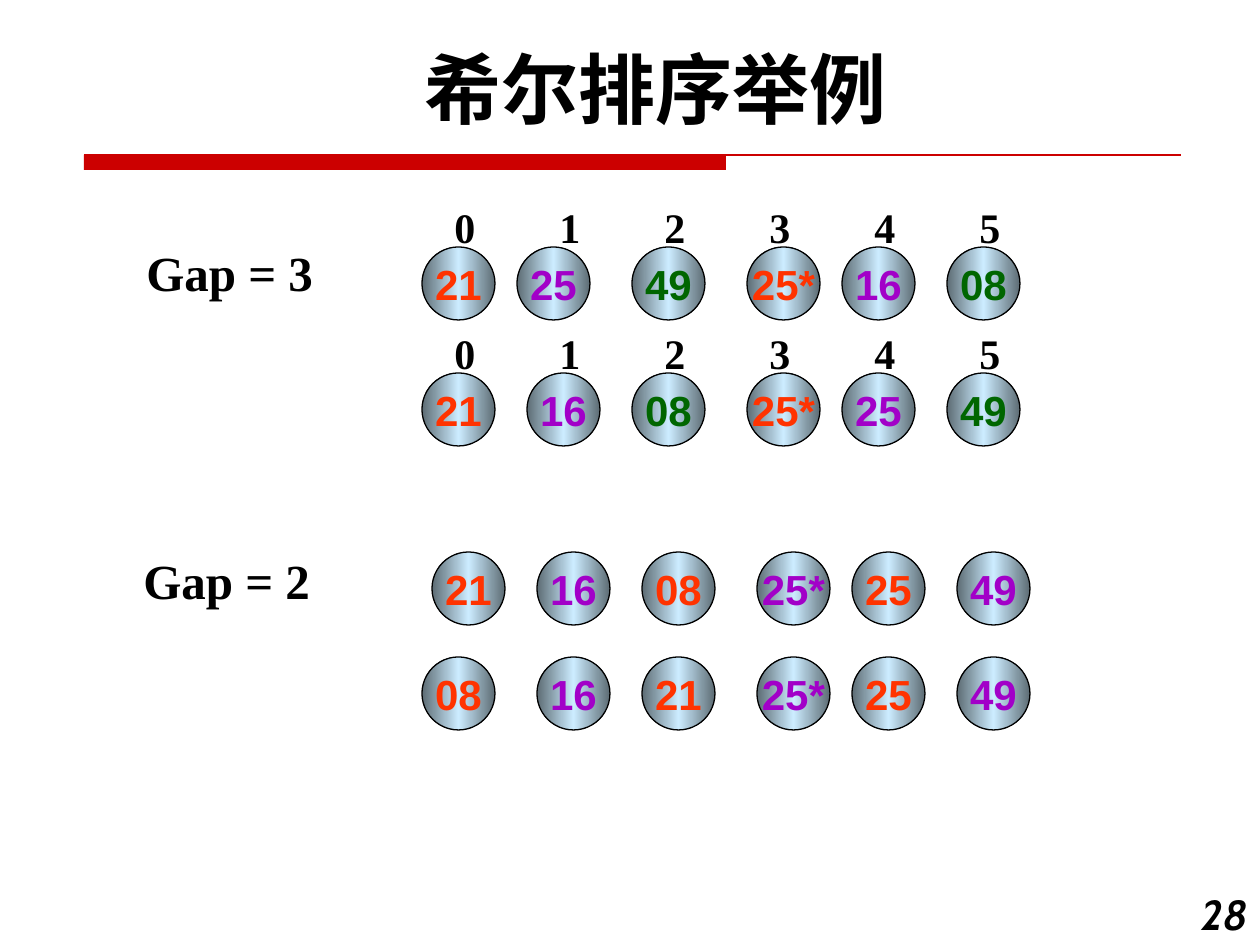
import copy
import dataclasses
import typing

import pptx
import pptx.dml.color
import pptx.enum.shapes
import pptx.enum.text
import pptx.oxml
import pptx.oxml.ns
import pptx.util

Align = pptx.enum.text.PP_ALIGN
Anchor = pptx.enum.text.MSO_ANCHOR
Shape = pptx.enum.shapes.MSO_SHAPE
EMU_PER_PX = 914400 / 126
COLUMN_STEP = 105
BALL_SIZE = 73


@dataclasses.dataclass(frozen=True)
class Theme:
    black: str = "000000"
    white: str = "FFFFFF"
    red: str = "CC0000"
    ball_edge: str = "5D6C74"
    ball_middle: str = "CCECFF"
    sublists: tuple[str, ...] = ("FF3300", "A200C8", "006600")
    title_size: int = 44
    gap_size: int = 28
    text_size: int = 24
    line_width: float = 0.75
    heading_font: str = "Cabin"
    label_font: str = "Times New Roman"
    ball_font: str = "Arial"


@dataclasses.dataclass(frozen=True)
class BallRow:
    gap: int
    left: int
    top: int
    keys: tuple[str, ...]
    nudges: tuple[int, ...]
    indexed: bool = False


@dataclasses.dataclass(frozen=True)
class GapLabel:
    text: str
    left: int
    top: int


THEME = Theme()

ROWS = (
    BallRow(3, 422, 247, ("21", "25", "49", "25*", "16", "08"), (0, -10, 0, 10, 0, 0), True),
    BallRow(3, 422, 373, ("21", "16", "08", "25*", "25", "49"), (0, 0, 0, 10, 0, 0), True),
    BallRow(2, 432, 552, ("21", "16", "08", "25*", "25", "49"), (0, 0, 0, 10, 0, 0)),
    BallRow(2, 432, 657, ("08", "16", "21", "25*", "25", "49"), (-10, 0, 0, 10, 0, 0)),
)

GAP_LABELS = (GapLabel("Gap = 3", 134, 236), GapLabel("Gap = 2", 131, 544))


def px(length: int) -> pptx.util.Emu:
    return pptx.util.Emu(round(length * EMU_PER_PX))


def box(left: int, top: int, width: int, height: int) -> tuple[pptx.util.Emu, ...]:
    return px(left), px(top), px(width), px(height)


def rgb(color: str) -> pptx.dml.color.RGBColor:
    return pptx.dml.color.RGBColor.from_string(color)


def write_text(
    frame: typing.Any,
    text: str,
    *,
    font: str,
    size: int,
    color: str = THEME.black,
    italic: bool = False,
    alignment: typing.Any = Align.LEFT,
    anchor: typing.Any = Anchor.TOP,
    wrap: bool = True,
    tab_stops: tuple[int, ...] = (),
) -> None:
    frame.word_wrap = wrap
    frame.vertical_anchor = anchor
    paragraph = frame.paragraphs[0]
    paragraph.alignment = alignment
    if tab_stops:
        properties = paragraph._p.get_or_add_pPr()
        tab_list = pptx.oxml.parse_xml(f"<a:tabLst {pptx.oxml.ns.nsdecls('a')}/>")
        properties.append(tab_list)
        for stop in tab_stops:
            tab = pptx.oxml.parse_xml(
                f'<a:tab {pptx.oxml.ns.nsdecls("a")} pos="{px(stop)}" algn="l"/>'
            )
            tab_list.append(tab)
    run = paragraph.add_run()
    run.text = text
    run.font.name = font
    run.font.size = pptx.util.Pt(size)
    run.font.bold = True
    run.font.italic = italic
    run.font.color.rgb = rgb(color)


def fill_ball(shape: typing.Any) -> None:
    shape.fill.gradient()
    shape.fill.gradient_angle = 0
    stop_list = shape._element.spPr.find(".//" + pptx.oxml.ns.qn("a:gsLst"))
    stop_list.insert(1, copy.deepcopy(stop_list[0]))
    colors = (THEME.ball_edge, THEME.ball_middle, THEME.ball_edge)
    for index, (stop, color) in enumerate(zip(shape.fill.gradient_stops, colors)):
        stop.position = index / 2
        stop.color.rgb = rgb(color)


def draw_ball(slide: typing.Any, key: str, left: int, top: int, color: str) -> None:
    shape = slide.shapes.add_shape(Shape.OVAL, *box(left, top, BALL_SIZE, BALL_SIZE))
    shape.shadow.inherit = False
    fill_ball(shape)
    shape.line.color.rgb = rgb(THEME.black)
    shape.line.width = pptx.util.Pt(THEME.line_width)
    write_text(shape.text_frame, key, font=THEME.ball_font, size=THEME.text_size, color=color,
               alignment=Align.CENTER, anchor=Anchor.MIDDLE, wrap=False)


def draw_row(slide: typing.Any, row: BallRow) -> None:
    if row.indexed:
        count = len(row.keys)
        indices = slide.shapes.add_textbox(*box(442, row.top - 52, 580, 63))
        write_text(indices.text_frame, "\t".join(str(index) for index in range(count)),
                   font=THEME.label_font, size=THEME.text_size,
                   tab_stops=tuple(COLUMN_STEP * index for index in range(1, count)))
    for index, (key, nudge) in enumerate(zip(row.keys, row.nudges)):
        left = row.left + COLUMN_STEP * index + nudge
        draw_ball(slide, key, left, row.top, THEME.sublists[index % row.gap])


def draw_rule(slide: typing.Any) -> None:
    bar = slide.shapes.add_shape(Shape.RECTANGLE, *box(84, 155, 642, 15))
    bar.shadow.inherit = False
    bar.fill.solid()
    bar.fill.fore_color.rgb = rgb(THEME.red)
    bar.line.fill.background()
    line = slide.shapes.add_connector(
        pptx.enum.shapes.MSO_CONNECTOR.STRAIGHT, px(84), px(155), px(1181), px(155)
    )
    line.line.color.rgb = rgb(THEME.red)
    line.line.width = pptx.util.Pt(THEME.line_width)
    line._element.spPr.append(
        pptx.oxml.parse_xml(f"<a:effectLst {pptx.oxml.ns.nsdecls('a')}/>")
    )


def main() -> None:
    presentation = pptx.Presentation()
    presentation.slide_width, presentation.slide_height = px(1260), px(945)
    slide = presentation.slides.add_slide(presentation.slide_layouts[5])
    slide.background.fill.solid()
    slide.background.fill.fore_color.rgb = rgb(THEME.white)

    title = slide.shapes.title
    title.left, title.top, title.width, title.height = box(73, 35, 1166, 106)
    title.text_frame.auto_size = pptx.enum.text.MSO_AUTO_SIZE.NONE
    write_text(title.text_frame, "希尔排序举例", font=THEME.heading_font, size=THEME.title_size,
               alignment=Align.CENTER, anchor=Anchor.MIDDLE)

    draw_rule(slide)
    for label in GAP_LABELS:
        label_box = slide.shapes.add_textbox(*box(label.left, label.top, 193, 72))
        write_text(label_box.text_frame, label.text, font=THEME.label_font,
                   size=THEME.gap_size, wrap=False)
    for row in ROWS:
        draw_row(slide, row)

    page_number = slide.shapes.add_textbox(*box(1176, 882, 84, 63))
    write_text(page_number.text_frame, "28", font=THEME.heading_font, size=THEME.text_size,
               italic=True, alignment=Align.RIGHT)
    presentation.save("out.pptx")


if __name__ == "__main__":
    main()
